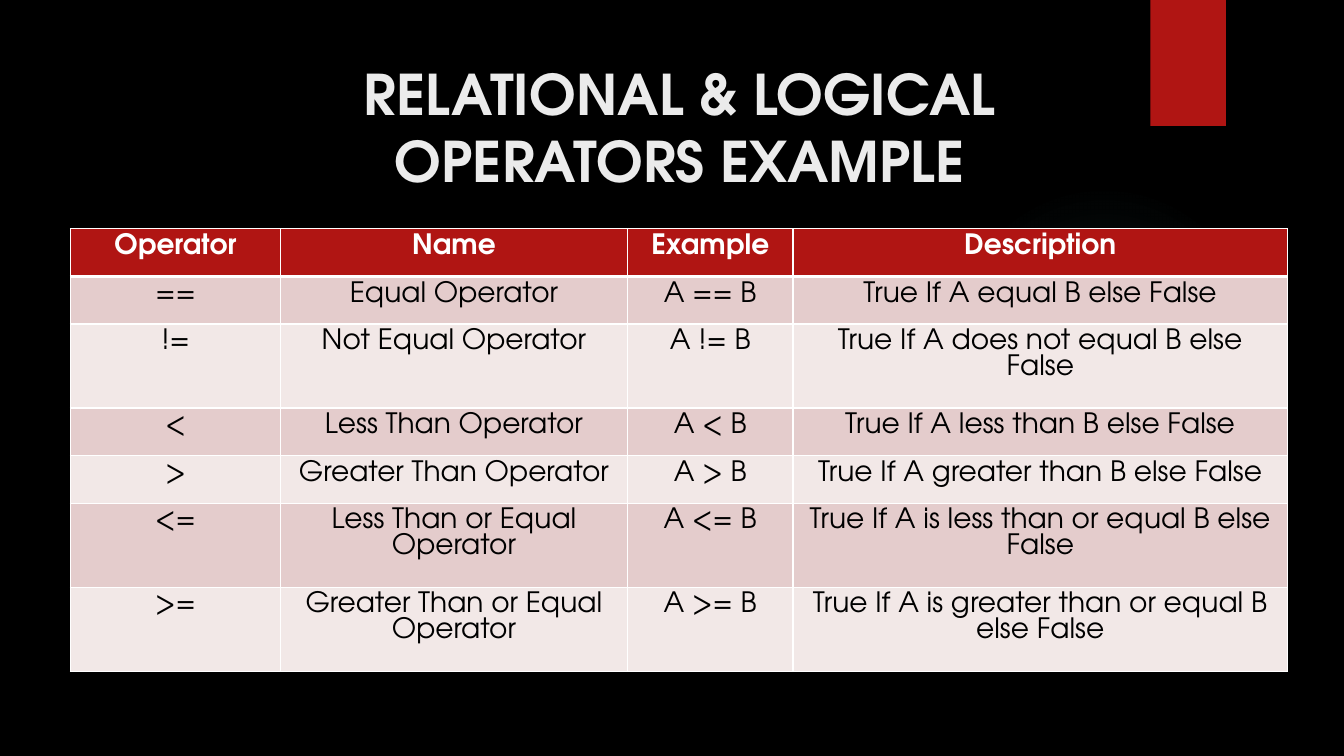
from lxml import etree
from pptx import Presentation
from pptx.dml.color import RGBColor
from pptx.enum.shapes import MSO_SHAPE as SHAPE
from pptx.enum.text import MSO_ANCHOR as ANCHOR, MSO_AUTO_SIZE as AUTO, PP_ALIGN as ALIGN
from pptx.oxml import parse_xml
from pptx.oxml.ns import nsdecls, qn
from pptx.util import Inches, Pt

FONT = "TeX Gyre Adventor"
BLACK = RGBColor(0x00, 0x00, 0x00)
WHITE = RGBColor(0xFF, 0xFF, 0xFF)
TITLE = RGBColor(0xEB, 0xEB, 0xEB)
RED = RGBColor(0xB0, 0x15, 0x13)
TEAL = RGBColor(0x50, 0xB9, 0xC1)
BANDS = (RGBColor(0xF2, 0xE8, 0xE7), RGBColor(0xE4, 0xCC, 0xCC))

TITLE_FONT = {"name": FONT, "size": Pt(40), "bold": True, "color": TITLE}
HEAD_FONT = {"name": FONT, "size": Pt(20), "bold": True, "color": WHITE}
BODY_FONT = {**HEAD_FONT, "bold": False, "color": BLACK}

COLS = (2.08, 3.44, 1.64, 4.9)
ONE_LINE, TWO_LINES = 0.47, 0.83
HEADS = ("Operator", "Name", "Example", "Description")
OPERATORS = (
    ("==", "Equal Operator", "True If A equal B else False", ONE_LINE),
    ("!=", "Not Equal Operator", "True If A does not equal B else False", TWO_LINES),
    ("<", "Less Than Operator", "True If A less than B else False", ONE_LINE),
    (">", "Greater Than Operator", "True If A greater than B else False", ONE_LINE),
    ("<=", "Less Than or Equal Operator",
     "True If A is less than or equal B else False", TWO_LINES),
    (">=", "Greater Than or Equal Operator",
     "True If A is greater than or equal B else False", TWO_LINES),
)


def box(*lengths):
    return [Inches(n) for n in lengths]


def shares(total, weights):
    return box(*(total * weight / sum(weights) for weight in weights))


def write(tf, text, fmt):
    p = tf.paragraphs[0]
    p.alignment = ALIGN.CENTER
    r = p.add_run()
    r.text = text
    for key, value in fmt.items():
        if key == "color":
            r.font.color.rgb = value
        else:
            setattr(r.font, key, value)


def add_block(slide, kind, at, color):
    sp = slide.shapes.add_shape(kind, *box(*at))
    sp.shadow.inherit = False
    sp.fill.solid()
    sp.fill.fore_color.rgb = color
    sp.line.fill.background()
    return sp


def add_glow(slide, at):
    sp = add_block(slide, SHAPE.OVAL, at, TEAL)
    stops = "".join(
        f'<a:gs pos="{pos}000"><a:srgbClr val="{TEAL}"><a:alpha val="{alpha}000"/>'
        "</a:srgbClr></a:gs>" for pos, alpha in ((0, 7), (36, 6), (69, 0)))
    solid = sp._element.spPr.find(qn("a:solidFill"))
    solid.getparent().replace(solid, parse_xml(
        f'<a:gradFill {nsdecls("a")}><a:gsLst>{stops}</a:gsLst><a:path path="circle">'
        '<a:fillToRect l="50000" t="50000" r="50000" b="50000"/></a:path></a:gradFill>'))


def add_ribbon(slide, at):
    sp = add_block(slide, SHAPE.RECTANGLE, at, RED)
    effects = sp._element.spPr.find(qn("a:effectLst"))
    effects.append(parse_xml(
        f'<a:outerShdw {nsdecls("a")} blurRad="{Pt(3)}" dist="{Pt(2)}" dir="5400000">'
        f'<a:srgbClr val="{BLACK}"><a:alpha val="45000"/></a:srgbClr></a:outerShdw>'))


def add_title(slide, text, at):
    sp = slide.shapes.title
    sp.left, sp.top, sp.width, sp.height = box(*at)
    tf = sp.text_frame
    for key, value in {"word_wrap": True, "auto_size": AUTO.NONE,
                       "vertical_anchor": ANCHOR.TOP}.items():
        setattr(tf, key, value)
    write(tf, text, TITLE_FONT)


def set_borders(cell, bottom, top):
    tcPr = cell._tc.get_or_add_tcPr()
    widths = {"lnL": 1, "lnR": 1, "lnT": top, "lnB": bottom}
    for i, (side, width) in enumerate(widths.items()):
        ln = etree.Element(qn(f"a:{side}"), w=str(Pt(width)))
        fill = etree.SubElement(ln, qn("a:solidFill"))
        etree.SubElement(fill, qn("a:srgbClr"), val=str(WHITE))
        tcPr.insert(i, ln)


def add_operator_table(slide, left, top, width, height):
    rows = [HEADS] + [(op, name, f"A {op} B", text) for op, name, text, _ in OPERATORS]
    weights = [ONE_LINE] + [row[-1] for row in OPERATORS]
    at = box(left, top, width, height)
    table = slide.shapes.add_table(len(rows), len(COLS), *at).table
    for column, share in zip(table.columns, shares(width, COLS)):
        column.width = share
    for i, (row, share) in enumerate(zip(rows, shares(height, weights))):
        table.rows[i].height = share
        for j, text in enumerate(row):
            cell = table.cell(i, j)
            cell.fill.solid()
            cell.fill.fore_color.rgb = BANDS[i % 2] if i else RED
            set_borders(cell, bottom=1 if i else 3, top=3 if i == 1 else 1)
            write(cell.text_frame, text, BODY_FONT if i else HEAD_FONT)


def main():
    prs = Presentation()
    prs.slide_width, prs.slide_height = box(13.33, 7.5)
    slide = prs.slides.add_slide(prs.slide_layouts[5])
    slide.background.fill.solid()
    slide.background.fill.fore_color.rgb = BLACK
    add_glow(slide, (9.41, 1.83, 3.08, 3.08))
    add_ribbon(slide, (11.41, 0, 0.75, 1.25))
    add_title(slide, "RELATIONAL & LOGICAL OPERATORS EXAMPLE", (2.01, 0.54, 9.46, 1.35))
    add_operator_table(slide, 0.7, 2.27, 12.07, 4.39)
    prs.save("out.pptx")


if __name__ == "__main__":
    main()
